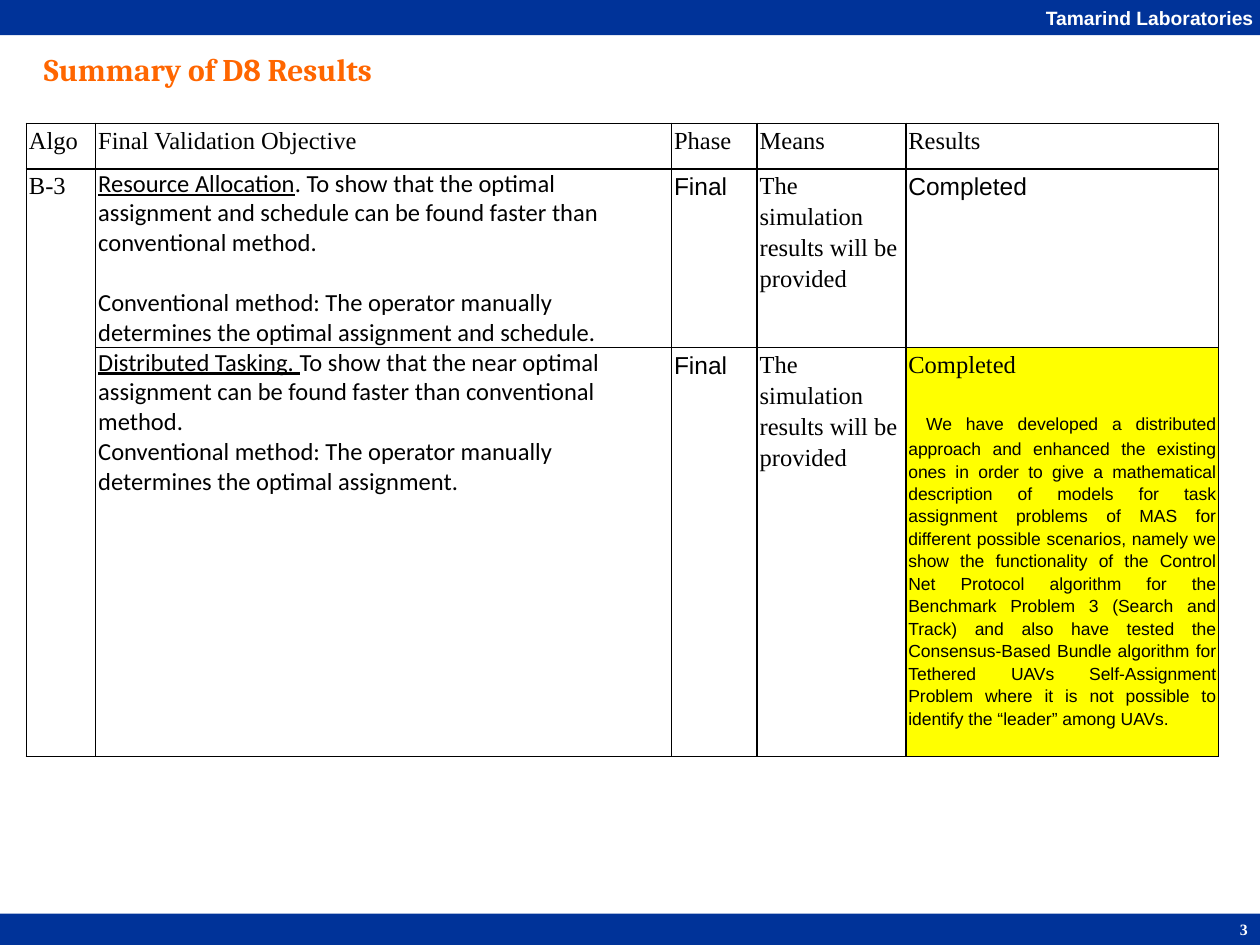
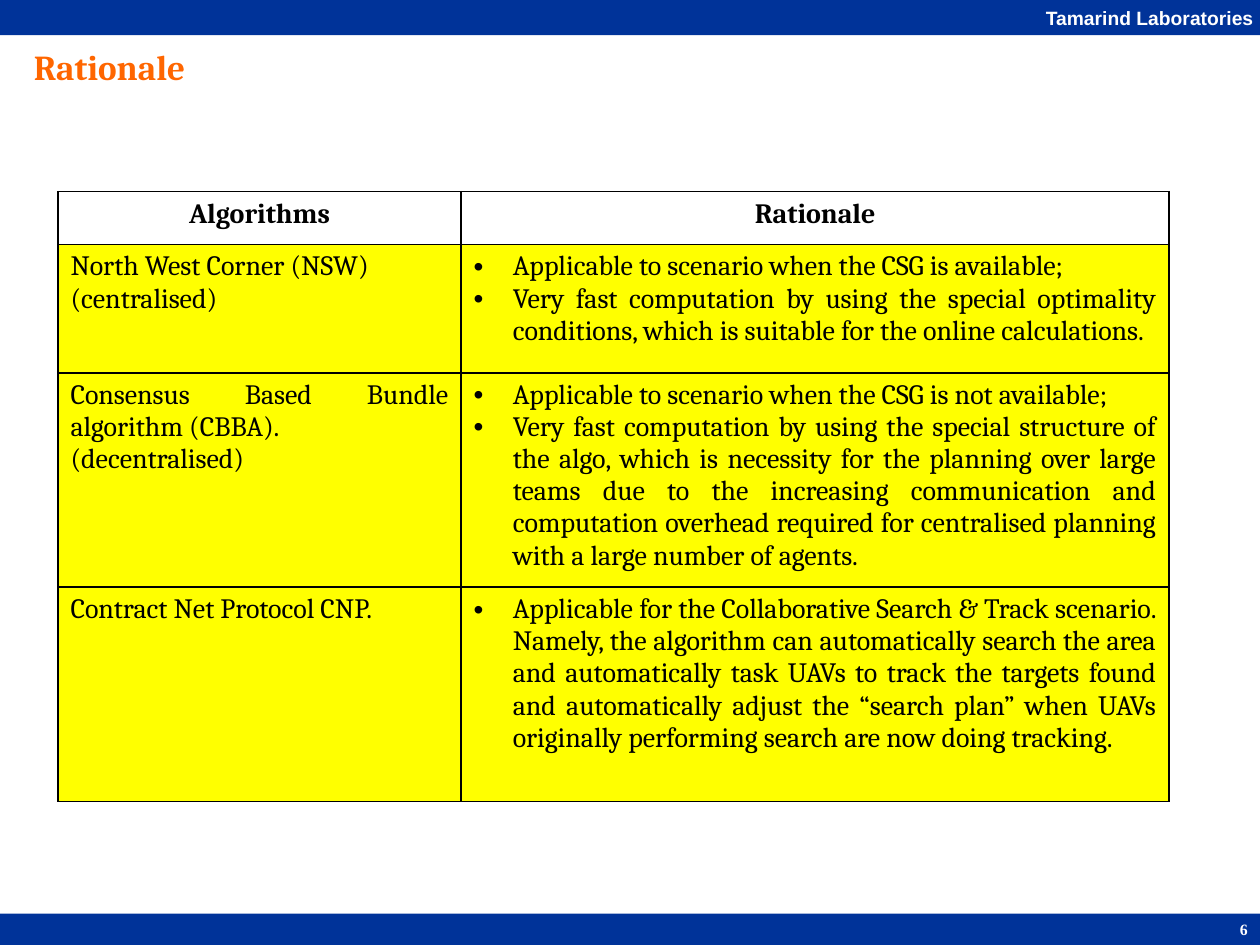
from dataclasses import dataclass
from lxml import etree
from pptx import Presentation
from pptx.dml.color import RGBColor
from pptx.enum.shapes import MSO_SHAPE
from pptx.enum.text import MSO_ANCHOR, PP_ALIGN
from pptx.oxml.ns import qn
from pptx.util import Inches, Pt

RECT = MSO_SHAPE.RECTANGLE
MID, LOW = MSO_ANCHOR.MIDDLE, MSO_ANCHOR.BOTTOM
LEFT, RIGHT = PP_ALIGN.LEFT, PP_ALIGN.RIGHT
CENTER, FULL = PP_ALIGN.CENTER, PP_ALIGN.JUSTIFY


@dataclass(frozen=True)
class Theme:
    navy: str = "003399"
    orange: str = "FF6600"
    yellow: str = "FFFF00"
    white: str = "FFFFFF"
    black: str = "000000"
    sans: str = "Arial"
    light: str = "Calibri"
    head: str = "Cambria"
    serif: str = "Times New Roman"
    page: int = 9
    note: int = 10
    brand: int = 11
    cell: int = 14
    body: int = 16
    title: int = 18
    big: int = 20


T = Theme()
deck = Presentation()
deck.slide_width, deck.slide_height = Inches(10), Inches(7.5)
W, H = deck.slide_width, deck.slide_height
U = W // 100  # grid unit: one hundredth of the slide's width


def write(para, text, size, font, color=T.black, bold=False, align=LEFT):
    """Fill a paragraph; parts between underscores are underlined."""
    parts = text.split("_")
    para.text = parts[0]
    for part in parts[1:]:
        para.add_run().text = part
    para.alignment = align
    for i, run in enumerate(para.runs):
        run.font.size, run.font.name, run.font.bold = Pt(size), font, bold
        run.font.color.rgb = RGBColor.from_string(color)
        run.font.underline = len(parts) > 1 and i == len(para.runs) - 2


def add_grid(slide, left, top, cols, rows, side, edge):
    """Add a plain table with black rules; lengths are in grid units."""
    frame = slide.shapes.add_table(len(rows), len(cols), int(left * U), int(top * U),
                                   int(sum(cols) * U), int(sum(rows) * U))
    table = frame.table
    table.first_row = table.horz_banding = False
    for col, wide in zip(table.columns, cols):
        col.width = int(wide * U)
    for row, high in zip(table.rows, rows):
        row.height = int(high * U)
    for cell in table.iter_cells():
        cell.margin_left = cell.margin_right = int(side * U)
        cell.margin_top = cell.margin_bottom = int(edge * U)
        props = cell._tc.get_or_add_tcPr()
        for tag in ("a:lnL", "a:lnR", "a:lnT", "a:lnB"):
            line = etree.SubElement(props, qn(tag), w=str(Pt(1)))
            fill = etree.SubElement(line, qn("a:solidFill"))
            etree.SubElement(fill, qn("a:srgbClr"), val=T.black)
        cell.fill.background()
    return table


# Bands, page number and title on every slide
pages = [
    ("3", "Summary of D8 Results", T.title, 2.5, 3.5, 45.8),
    ("6", "Rationale", T.big, 1.7, 3.1, 79),
]
slides = []
for num, title, size, left, top, wide in pages:
    slide = deck.slides.add_slide(deck.slide_layouts[6])
    slides.append(slide)
    for y, high, label in ((72.5, 2.5, ""), (0, 2.8, "Tamarind Laboratories")):
        band = slide.shapes.add_shape(RECT, 0, int(y * U), W, int(high * U))
        band.shadow.inherit = False
        band.fill.solid()
        band.fill.fore_color.rgb = RGBColor.from_string(T.navy)
        band.line.fill.background()
        if label:
            text = band.text_frame
            text.margin_left = text.margin_top = text.margin_bottom = 0
            text.margin_right = U // 2
            text.vertical_anchor, text.word_wrap = MID, False
            write(text.paragraphs[0], label, T.brand, T.sans, T.white, True, RIGHT)

    text = slide.shapes.add_textbox(int(75.8 * U), 70 * U, int(24.2 * U), 5 * U).text_frame
    text.word_wrap, text.vertical_anchor = True, LOW
    write(text.paragraphs[0], num, T.page, T.serif, T.white, True, RIGHT)

    text = slide.shapes.add_textbox(int(left * U), int(top * U), int(wide * U), 4 * U).text_frame
    text.word_wrap = True
    write(text.paragraphs[0], title, size, T.head, T.orange, True)

# Results table
table = add_grid(slides[0], 2.1, 9.8, [5.5, 45.7, 6.8, 11.8, 24.8], [3.6, 14.2, 30.2], 0.2, 0)
table.cell(1, 0).merge(table.cell(2, 0))
means = "The simulation results will be provided"
story = (
    "We have developed a distributed approach and enhanced the existing ones in order to give "
    "a mathematical description of models for task assignment problems of MAS for different "
    "possible scenarios, namely we show the functionality of the Control Net Protocol algorithm "
    "for the Benchmark Problem 3 (Search and Track) and also have tested the Consensus-Based "
    "Bundle algorithm for Tethered UAVs Self-Assignment Problem where it is not possible to "
    "identify the “leader” among UAVs."
)
goals = [
    ["_Resource Allocation_. To show that the optimal assignment and schedule can be found "
     "faster than conventional method.",
     "Conventional method: The operator manually determines the optimal assignment and schedule."],
    ["_Distributed Tasking. _To show that the near optimal assignment can be found faster than "
     "conventional method.",
     "Conventional method: The operator manually determines the optimal assignment."],
]
short = [
    (0, 0, "Algo", T.serif, FULL),
    (0, 1, "Final Validation Objective", T.serif, FULL),
    (0, 2, "Phase", T.serif, FULL),
    (0, 3, "Means", T.serif, FULL),
    (0, 4, "Results", T.serif, FULL),
    (1, 0, "B-3", T.serif, FULL),
    (1, 2, "Final", T.sans, FULL),
    (1, 3, means, T.serif, LEFT),
    (1, 4, "Completed", T.sans, FULL),
    (2, 2, "Final", T.sans, FULL),
    (2, 3, means, T.serif, LEFT),
    (2, 4, "Completed", T.serif, FULL),
]
for r, c, words, font, align in short:
    para = table.cell(r, c).text_frame.paragraphs[0]
    write(para, words, T.cell, font, align=align)
    para.line_spacing, para.space_after = 1.15, Pt(10)

for r, goal in enumerate(goals, 1):
    text = table.cell(r, 1).text_frame
    text.text = "\n".join(goal)
    for para, words in zip(text.paragraphs, goal):
        write(para, words, T.cell, T.light)
table.cell(1, 1).text_frame.paragraphs[0].space_after = Pt(17)

# Highlighted outcome, opened by a taller space
cell = table.cell(2, 4)
cell.fill.solid()
cell.fill.fore_color.rgb = RGBColor.from_string(T.yellow)
para = cell.text_frame.add_paragraph()
write(para, " _" + story, T.note, T.sans, align=FULL)
para.line_spacing, para.space_after = 1.15, Pt(10)
para.runs[0].font.size = Pt(T.title)
para.runs[0].font.underline = False

# Rationale table
table = add_grid(slides[1], 4.6, 15.2, [32, 56.2], [4.2, 10.2, 17, 17], 1, 0.5)
facts = [
    (["Algorithms"], ["Rationale"]),
    (["North West Corner (NSW)", "(centralised)"],
     ["Applicable to scenario when the CSG is available;",
      "Very fast computation by using the special optimality conditions, which is suitable for "
      "the online calculations."]),
    (["Consensus Based Bundle algorithm (CBBA).", "(decentralised)"],
     ["Applicable to scenario when the CSG is not available;",
      "Very fast computation by using the special structure of the algo, which is necessity for "
      "the planning over large teams due to the increasing communication and computation overhead "
      "required for centralised planning with a large number of agents."]),
    (["Contract Net Protocol CNP."],
     ["Applicable for the Collaborative Search & Track scenario. Namely, the algorithm can "
      "automatically search the area and automatically task UAVs to track the targets found and "
      "automatically adjust the “search plan” when UAVs originally performing search are now "
      "doing tracking."]),
]
for r, row in enumerate(facts):
    for c, lines in enumerate(row):
        cell = table.cell(r, c)
        if r:
            cell.fill.solid()
            cell.fill.fore_color.rgb = RGBColor.from_string(T.yellow)
        cell.text_frame.text = "\n".join(lines)
        for para, words in zip(cell.text_frame.paragraphs, lines):
            write(para, words, T.body, T.head, bold=r == 0, align=FULL if r else CENTER)
            if r and c:
                props = para._p.get_or_add_pPr()
                props.set("marL", str(int(3.1 * U)))
                props.set("indent", str(int(-3.1 * U)))
                etree.SubElement(props, qn("a:buFont"), typeface=T.sans)
                etree.SubElement(props, qn("a:buChar"), char="•")

deck.save("out.pptx")
